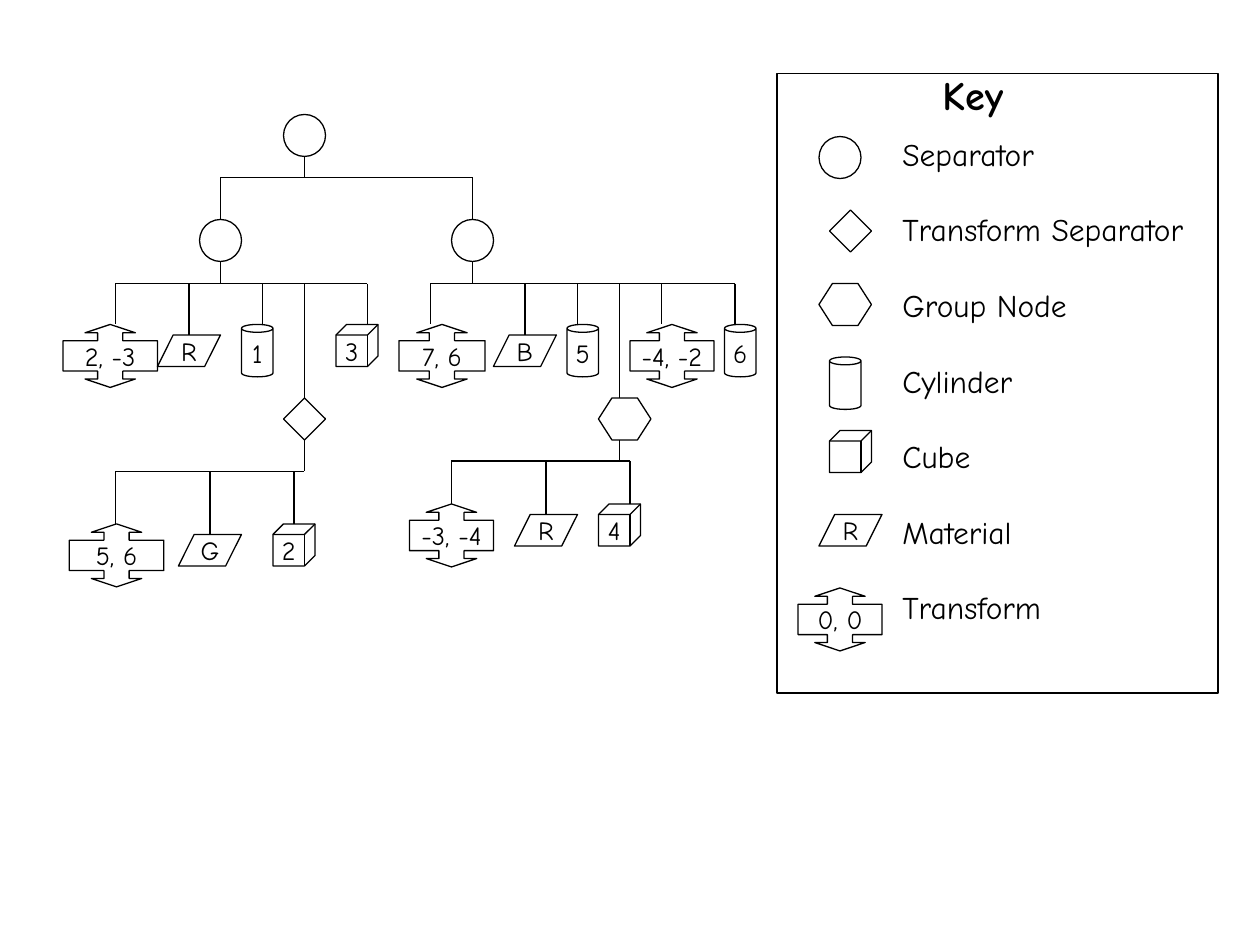
from pptx import Presentation, util as u
from pptx.dml.color import RGBColor
from pptx.enum import shapes, text
from pptx.oxml import ns
from lxml import etree

COLORS = {"ink": "000000"}
FONT = "Comic Neue"
UNIT = u.Cm(2.54) / 12  # drawing grid: a twelfth of an inch

KIND = shapes.MSO_SHAPE
# kind: (preset, width, height, first adjustment), sizes in grid units
KINDS = {
    "separator": (KIND.OVAL, 4, 4, None),
    "diamond": (KIND.DIAMOND, 4, 4, None),
    "group": (KIND.HEXAGON, 5, 4, 0.32),
    "cylinder": (KIND.CAN, 3, 5, 0.25),
    "cube": (KIND.CUBE, 4, 4, 0.25),
    "material": (KIND.PARALLELOGRAM, 6, 3, 0.5),
    "transform": (None, 8, 6, None),
}

ROOT = ("separator", "", 27, 10.9)
# (stem x, stem top, bus y, [(kind, text, left, top, drop x, own width)])
BRANCHES = [
    (29, 14.9, 16.9, [
        ("separator", "", 19, 20.9, 21, None),
        ("separator", "", 43, 20.9, 45, None)]),
    (21, 24.9, 27, [
        ("transform", "2, -3", 6, 30.9, 11, 9),
        ("material", "R", 15, 31.9, 18, None),
        ("cylinder", "1", 23, 30.9, 25, None),
        ("diamond", "", 27, 37.9, 29, None),
        ("cube", "3", 32, 30.9, 35, None)]),
    (45, 24.9, 27, [
        ("transform", "7, 6", 38, 30.9, 41, 8.2),
        ("material", "B", 47, 31.9, 50, None),
        ("cylinder", "5", 54, 30.9, 55, None),
        ("group", "", 57, 37.9, 59, None),
        ("transform", "-4, -2", 60, 30.9, 63, None),
        ("cylinder", "6", 69, 30.9, 70, None)]),
    (29, 41.9, 44.9, [
        ("transform", "5, 6", 6.6, 49.9, 11, 9),
        ("material", "G", 17, 50.9, 20, None),
        ("cube", "2", 26, 49.9, 28, None)]),
    (59, 41.9, 43.9, [
        ("transform", "-3, -4", 39, 48, 43, None),
        ("material", "R", 49, 49, 52, None),
        ("cube", "4", 57, 48, 60, None)]),
]
# (label, kind, text, left, top)
KEY = [
    ("Separator", "separator", "", 78, 13),
    ("Transform Separator", "diamond", "", 79, 20),
    ("Group Node", "group", "", 78, 27),
    ("Cylinder", "cylinder", "", 79, 34),
    ("Cube", "cube", "", 79, 41),
    ("Material", "material", "R", 78, 49),
    ("Transform", "transform", "0, 0", 76, 56),
]


def grid(*vals):
    return [u.Emu(round(v * UNIT)) for v in vals]


def ink(line):
    line.color.rgb = RGBColor.from_string(COLORS["ink"])
    line.width = u.Pt(0.75)


def write(frame, lines, size, bold=False, align=text.PP_ALIGN.LEFT, gap=0):
    frame.word_wrap = False
    frame.margin_left = frame.margin_right = u.Cm(0.33)
    frame.margin_top = frame.margin_bottom = u.Cm(0.15)
    for i, words in enumerate(lines):
        para = frame.add_paragraph() if i else frame.paragraphs[0]
        para.alignment = align
        para.space_before = u.Pt(gap if i else 0)
        run = para.add_run()
        run.text = words
        run.font.name, run.font.size, run.font.bold = FONT, u.Pt(size), bold
        run.font.color.rgb = RGBColor.from_string(COLORS["ink"])


def label(tree, box, lines, size, **style):
    frame = tree.add_textbox(*map(u.Cm, box)).text_frame
    write(frame, lines, size, **style)
    frame.auto_size = text.MSO_AUTO_SIZE.SHAPE_TO_FIT_TEXT


def outline(shape):
    shape.shadow.inherit = False
    shape.fill.background()
    ink(shape.line)


def callout(tree, left, top, wide, high):
    """Box with an arrow up and an arrow down, mirrored about its centre."""
    half, mid, end = wide / 2, left + wide / 2, high / 2
    side = [(half, end - 1.55), (1.2, end - 1.55), (1.2, end - 0.8),
            (2.4, end - 0.8), (0, end)]
    right = [(x, -y) for x, y in reversed(side)] + side
    pts = right + [(-x, y) for x, y in reversed(right)]
    pts = [grid(mid + x, top + end + y) for x, y in pts]
    pen = tree.build_freeform(*pts[0])
    pen.add_line_segments(pts[1:], close=True)
    return pen.convert_to_shape()


def symbol(tree, kind, words, left, top, own=None):
    preset, wide, high, adj = KINDS[kind]
    wide = own or wide
    if preset is None:
        shape = callout(tree, left, top, wide, high)
    else:
        shape = tree.add_shape(preset, *grid(left, top, wide, high))
        if adj:
            shape.adjustments[0] = adj
    outline(shape)
    if words:
        shape.text_frame.vertical_anchor = text.MSO_ANCHOR.MIDDLE
        write(shape.text_frame, [words], 15, align=text.PP_ALIGN.CENTER)


def rule(tree, *ends):
    line = tree.add_connector(shapes.MSO_CONNECTOR.STRAIGHT, *grid(*ends))
    ink(line.line)
    etree.SubElement(line._element.spPr, ns.qn("a:effectLst"))


def branch(tree, stem, start, bus, nodes):
    drops = [node[4] for node in nodes]
    rule(tree, stem, start, stem, bus)
    rule(tree, min(drops + [stem]), bus, max(drops + [stem]), bus)
    for kind, words, left, top, drop, own in nodes:
        rule(tree, drop, bus, drop, top)
        symbol(tree, kind, words, left, top, own)


def key(tree):
    outline(tree.add_shape(KIND.RECTANGLE, *grid(74, 7, 42, 59)))
    label(tree, (18.67, 1.27, 2, 1.3), ["Key"], 23, bold=True)
    label(tree, (17.86, 2.57, 6.35, 10.24), [row[0] for row in KEY], 18,
          gap=21.6)
    for _, *mark in KEY:
        symbol(tree, *mark)


def main():
    deck = Presentation()
    deck.slide_width, deck.slide_height = u.Cm(25.4), u.Cm(19.05)
    tree = deck.slides.add_slide(deck.slide_layouts[6]).shapes
    symbol(tree, *ROOT)
    for part in BRANCHES:
        branch(tree, *part)
    key(tree)
    deck.save("out.pptx")


if __name__ == "__main__":
    main()
